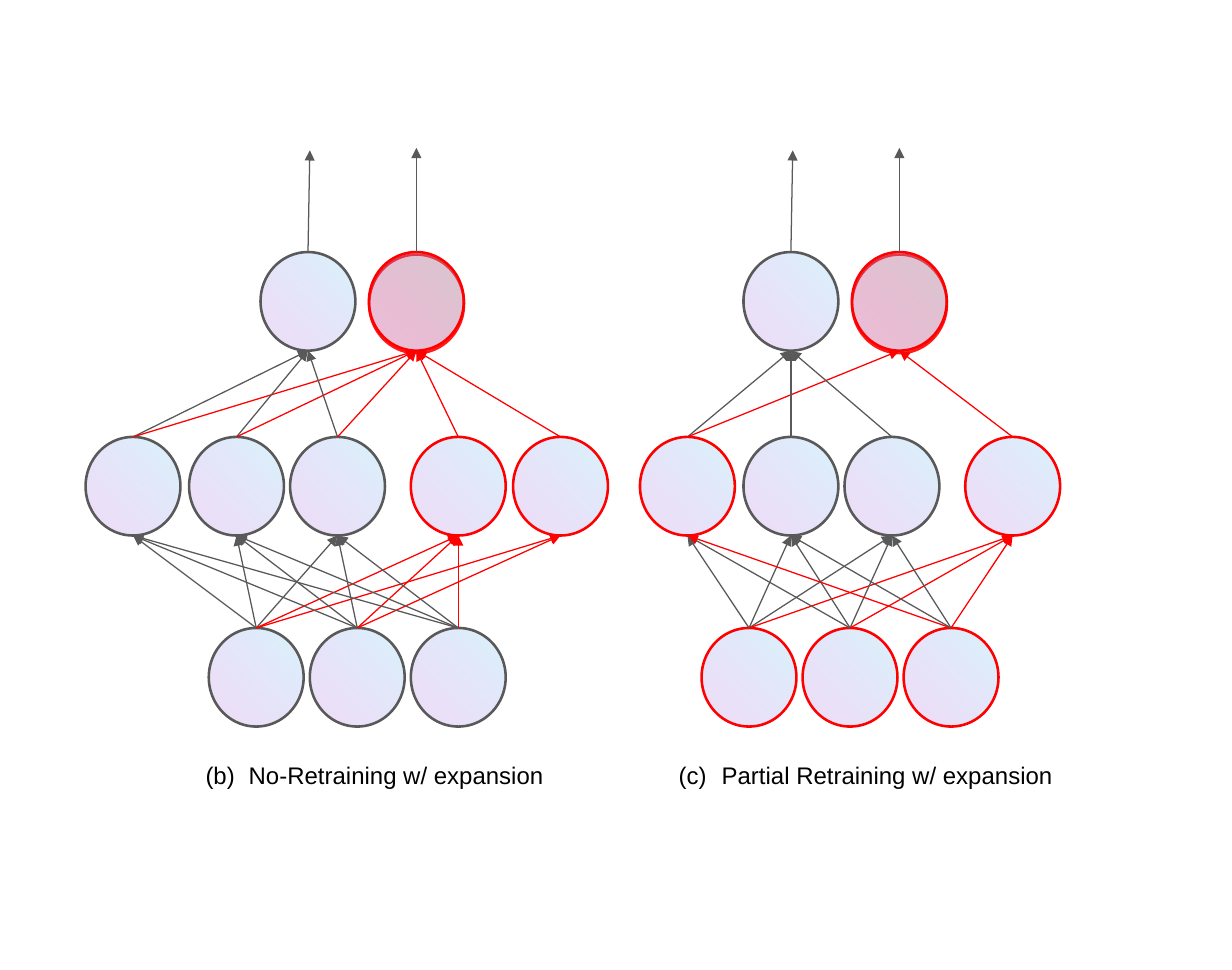
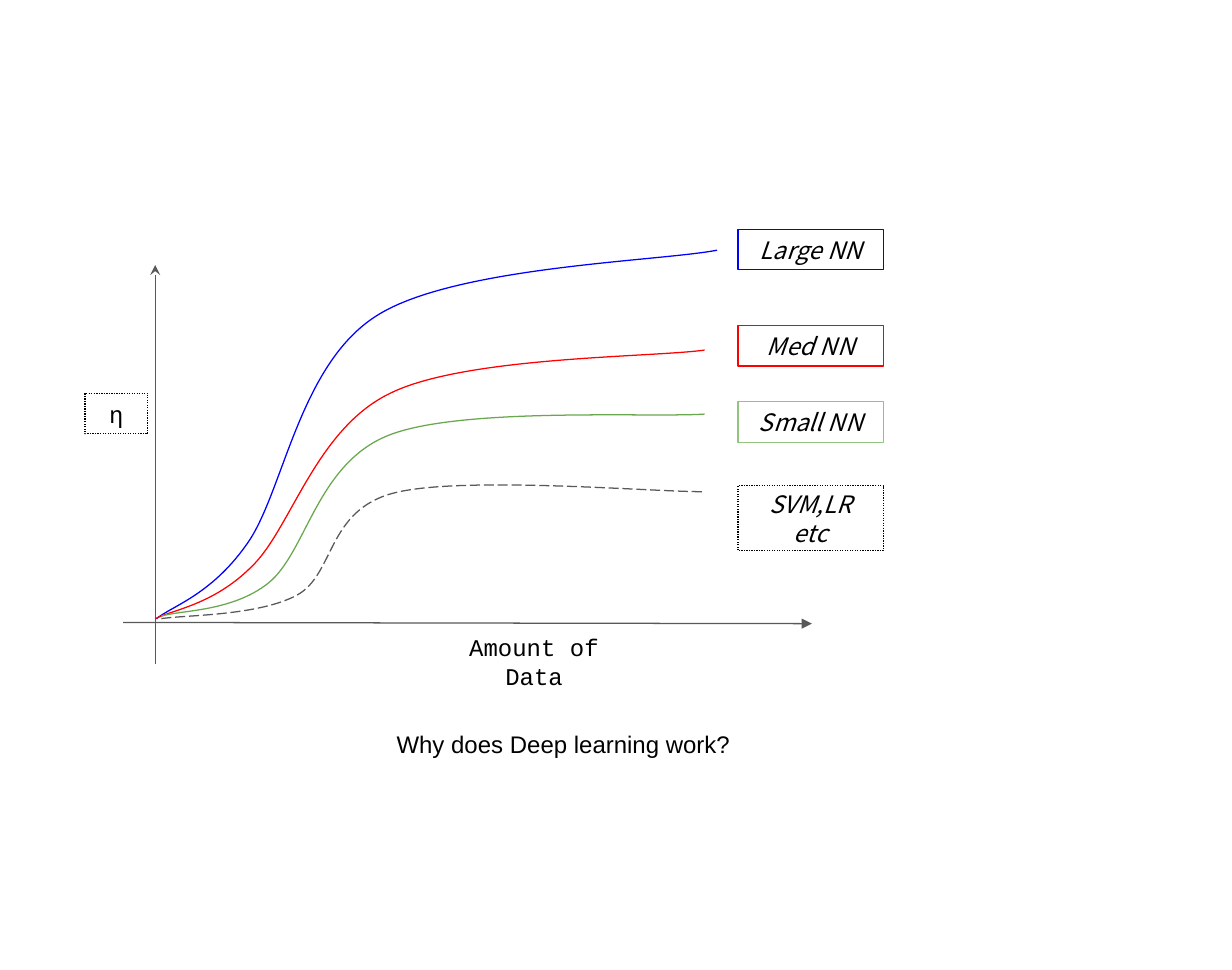
from lxml.etree import SubElement as Sub
from pptx import Presentation
from pptx.dml.color import RGBColor as RGB
from pptx.enum.dml import MSO_LINE as Dash
from pptx.enum.shapes import MSO_CONNECTOR as Conn, MSO_SHAPE as Shape
from pptx.enum.text import MSO_ANCHOR as Anchor, MSO_AUTO_SIZE as Auto, PP_ALIGN as Align
from pptx.oxml.ns import qn
from pptx.util import Emu, Pt

SCALE = 4572  # EMU in one px, 200 px to the inch
COLORS = {
    "ink": "000000", "gray": "595959", "red": "FF0000", "blue": "0000FF",
    "green": "6AA84F", "lime": "93C47D", "sky": "69D4F4", "plum": "9F39D5",
}
SANS, MONO, CJK = "Arial", "Courier New", "Noto Sans CJK KR"
WIDE, TALL = 160, 154  # neuron before its quarter turn
HALF = WIDE // 2
KEYS = {"g": "gray", "r": "red"}


def px(*nums):
    return [Emu(n * SCALE) for n in nums]


def rgb(name):
    return RGB.from_string(COLORS[name])


def write(shape, text, font=SANS, italic=False, align=Align.LEFT,
          anchor=Anchor.TOP, start=None):
    """Fill a shape with one paragraph; start numbers it as (a), (b), ..."""
    frame = shape.text_frame
    frame.word_wrap = True
    frame.vertical_anchor = anchor
    frame.margin_left = frame.margin_right = px(20)[0]
    frame.margin_top = frame.margin_bottom = px(20)[0]
    para = frame.paragraphs[0]
    if start:
        frame.auto_size = Auto.SHAPE_TO_FIT_TEXT
        props = para._p.get_or_add_pPr()
        left, hang = px(100, -70)
        props.set("marL", str(left))
        props.set("indent", str(hang))
        tint = Sub(props, qn("a:buClr"))
        Sub(tint, qn("a:srgbClr"), val=COLORS["ink"])
        Sub(props, qn("a:buAutoNum"), type="alphaLcParenBoth", startAt=str(start))
    para.alignment = align
    run = para.add_run()
    run.text = text
    run.font.size = Pt(14)
    run.font.name = font
    run.font.italic = italic
    run.font.color.rgb = rgb("ink")


class Deck:
    def __init__(self):
        self.prs = Presentation()
        self.prs.slide_width, self.prs.slide_height = px(2000, 1574)

    def page(self):
        self.shapes = self.prs.slides.add_slide(self.prs.slide_layouts[6]).shapes

    def edge(self, shape, color, width=0.75, dash=None):
        shape.line.color.rgb = rgb(color)
        shape.line.width = Pt(width)
        if dash:
            shape.line.dash_style = dash

    def node(self, x, y, color, glow=False):
        """Neuron centred on x, y."""
        disc = self.shapes.add_shape(
            Shape.OVAL, *px(x - HALF, y - TALL // 2, WIDE, TALL))
        disc.rotation = 270
        disc.shadow.inherit = False
        disc.fill.gradient()
        disc.fill.gradient_angle = 135
        for stop, tint in zip(disc.fill.gradient_stops, ("sky", "plum")):
            stop.color.rgb = rgb(tint)
        props = disc.element.spPr
        for tone, alpha in zip(props.iter(qn("a:srgbClr")), (26, 17)):
            Sub(tone, qn("a:alpha"), val=str(alpha * 1000))
        self.edge(disc, color, 1.5)
        if glow:
            cast = Sub(props.find(qn("a:effectLst")), qn("a:outerShdw"),
                       blurRad="0", dist=str(Pt(1.5)), dir=str(85 * 60000),
                       algn="bl", rotWithShape="0")
            tone = Sub(cast, qn("a:srgbClr"), val=COLORS["red"])
            Sub(tone, qn("a:alpha"), val="89000")

    def arrow(self, x1, y1, x2, y2, color="gray", head="triangle"):
        line = self.shapes.add_connector(Conn.STRAIGHT, *px(x1, y1, x2, y2))
        self.edge(line, color)
        props = line.element.spPr
        Sub(props.find(qn("a:ln")), qn("a:tailEnd"), type=head)
        Sub(props, qn("a:effectLst"))

    def curve(self, points, color, dash=None):
        """Cubic curve: a start, then two handles and an end per piece."""
        pen = self.shapes.build_freeform(*points[0], scale=SCALE)
        pen.add_line_segments(points[1:], close=False)
        shape = pen.convert_to_shape()
        shape.shadow.inherit = False
        shape.fill.background()
        self.edge(shape, color, dash=dash)
        # Join each three straight steps into one Bezier piece
        trace = next(shape.element.iter(qn("a:path")))
        steps = trace.findall(qn("a:lnTo"))
        for i in range(0, len(steps), 3):
            bend = Sub(trace, qn("a:cubicBezTo"))
            for step in steps[i:i + 3]:
                bend.append(step[0])
                trace.remove(step)

    def box(self, x, y, w, h, text, color, dash=None, **style):
        rect = self.shapes.add_shape(Shape.RECTANGLE, *px(x, y, w, h))
        rect.shadow.inherit = False
        rect.fill.background()
        self.edge(rect, color, dash=dash)
        write(rect, text, align=Align.CENTER, anchor=Anchor.MIDDLE, **style)

    def label(self, x, y, w, h, text, **style):
        write(self.shapes.add_textbox(*px(x, y, w, h)), text, **style)

    def net(self, rows, tones, links):
        """Layers from the bottom up; links hold a colour key per pair."""
        levels = (1099, 789, 489)
        for row, keys, y in zip(rows, tones, levels):
            for x, key in zip(row, keys):
                self.node(x, y, KEYS[key], glow=y == levels[-1] and key == "r")
        for i, grid in enumerate(links):
            for x1, keys in zip(rows[i], grid.split()):
                for x2, key in zip(rows[i + 1], keys):
                    if key in KEYS:
                        self.arrow(x1, levels[i] - HALF, x2,
                                   levels[i + 1] + HALF, KEYS[key])
        # Outputs
        old, new = rows[-1]
        top = levels[-1] - HALF
        self.arrow(old, top, old + 3, 244)
        self.arrow(new, top, new, 240)


def nets(deck):
    deck.page()
    deck.net([(416, 580, 744), (216, 384, 548, 744, 910), (500, 676)],
             ["ggg", "gggrr", "gr"],
             ["gggrr gggrr gggr-", "gr gr gr -r -r"])
    deck.net([(1216, 1380, 1544), (1116, 1284, 1448, 1644), (1284, 1460)],
             ["rrr", "rggr", "gr"],
             ["gggr gggr rggr", "gr g- g- -r"])
    deck.label(284, 1214, 634, 88, "No-Retraining w/ expansion", start=2)
    deck.label(1052, 1214, 686, 88, "Partial Retraining w/ expansion", start=3)


def growth(deck):
    deck.page()
    # Axes
    deck.arrow(252, 1078, 252, 430, head="stealth")
    deck.arrow(200, 1010, 1318, 1012)
    # Curves
    deck.curve([(254, 1004), (278, 984), (342, 966), (400, 884),
                (460, 802), (484, 592), (612, 512),
                (738, 432), (1072, 424), (1164, 406)], "blue")
    deck.curve([(252, 1004), (278, 990), (346, 982), (408, 920),
                (472, 860), (512, 696), (634, 638),
                (756, 578), (1060, 580), (1144, 568)], "red")
    deck.curve([(262, 1000), (290, 990), (376, 994), (436, 946),
                (498, 896), (514, 752), (632, 706),
                (750, 660), (1060, 678), (1144, 672)], "green")
    deck.curve([(262, 1004), (300, 998), (418, 1000), (482, 966),
                (544, 932), (530, 828), (640, 800),
                (750, 772), (1056, 798), (1140, 798)], "gray", Dash.LONG_DASH)
    # Legend
    for y, h, text, color, dash in (
            (372, 66, "Large NN", "blue", None),
            (528, 66, "Med NN", "red", None),
            (652, 66, "Small NN", "lime", None),
            (788, 106, "SVM,LR etc", "ink", Dash.ROUND_DOT)):
        deck.box(1198, y, 236, h, text, color, dash, font=CJK, italic=True)
    # Axis names and caption
    deck.box(138, 638, 102, 66, "η", "ink", Dash.ROUND_DOT, font=MONO)
    deck.label(698, 1034, 338, 78, "Amount of Data", font=MONO,
               align=Align.CENTER, anchor=Anchor.MIDDLE)
    deck.label(624, 1164, 664, 112, "Why does Deep learning work?")


def main():
    deck = Deck()
    nets(deck)
    growth(deck)
    deck.prs.save("out.pptx")


if __name__ == "__main__":
    main()
